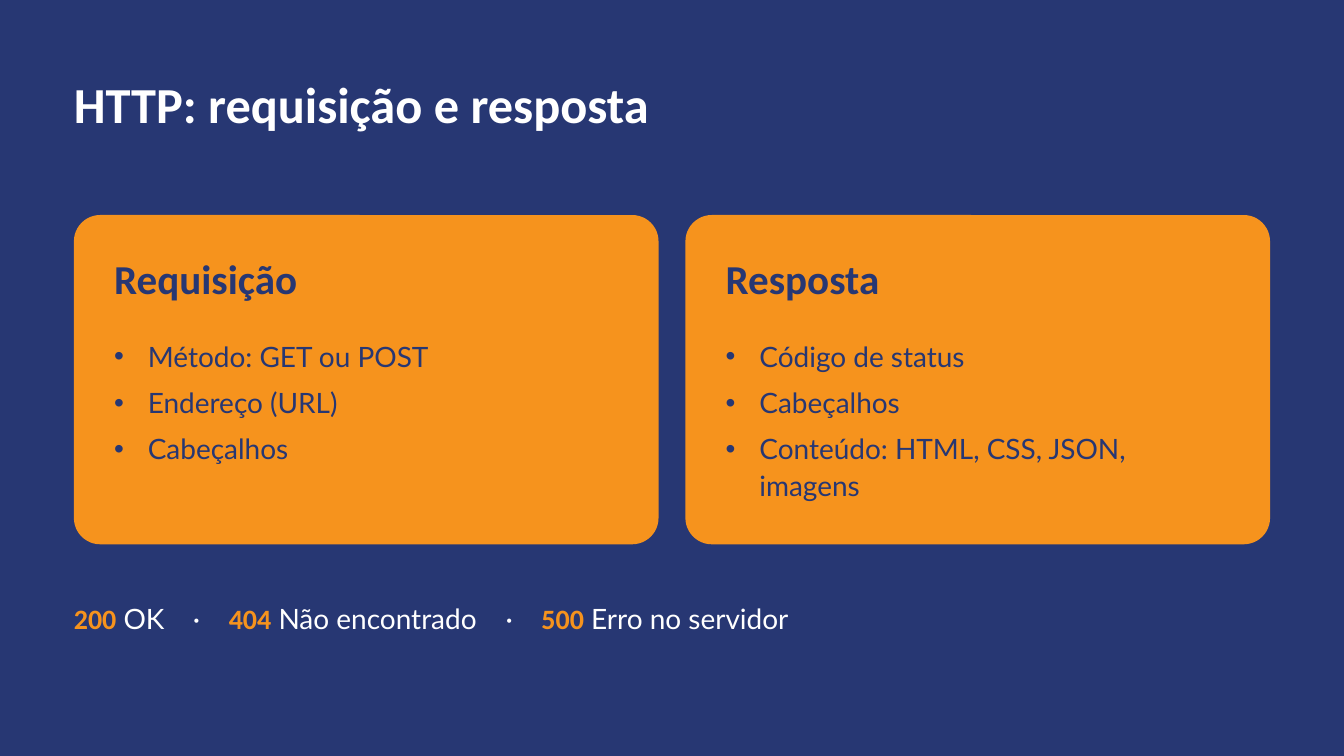
from lxml import etree
from pptx import Presentation
from pptx.dml.color import RGBColor
from pptx.enum import shapes
from pptx.oxml import ns
from pptx.util import Pt

NAVY = RGBColor(0x27, 0x37, 0x73)
ORANGE = RGBColor(0xF6, 0x93, 0x1D)
WHITE = RGBColor(0xFF, 0xFF, 0xFF)
HEAD, BODY = "Calibri", "Lato"
LEFT, WIDTH, GAP = 79.2, 1281.6, 28.8

CARDS = [
    ("Requisição", ["Método: GET ou POST", "Endereço (URL)", "Cabeçalhos"]),
    ("Resposta", ["Código de status", "Cabeçalhos",
                  "Conteúdo: HTML, CSS, JSON, imagens"]),
]
CODES = [("200", "OK"), ("404", "Não encontrado"), ("500", "Erro no servidor")]
STOPS = [(131.25, "ctr"), (166, "l"), (466.5, "ctr"), (501, "l")]


def add(root, tag, **attrs):
    """Append a drawing element to a parent and return it."""
    node = etree.SubElement(root, ns.qn(tag))
    for key, value in attrs.items():
        node.set(key, str(value))
    return node


def bullet(para):
    """Give a paragraph a hanging round bullet."""
    props = para._p.get_or_add_pPr()
    props.set("marL", str(Pt(36)))
    props.set("indent", str(-Pt(36)))
    add(add(props, "a:buClr"), "a:srgbClr", val=NAVY)
    add(props, "a:buFont", typeface="Arial")
    add(props, "a:buChar", char="•")


def tabs(para, stops):
    """Set the tab stops of a paragraph."""
    row = add(para._p.get_or_add_pPr(), "a:tabLst")
    for pos, align in stops:
        add(row, "a:tab", pos=Pt(pos), algn=align)


def write(slide, box, paras, size=30, font=BODY, color=NAVY, bold=False,
          dots=False, after=0, stops=()):
    """Add a text box; a paragraph is a string or a list of (text, accent) runs."""
    frame = slide.shapes.add_textbox(*map(Pt, box)).text_frame
    frame.word_wrap = True
    frame.margin_left = frame.margin_right = 0
    frame.margin_top = frame.margin_bottom = 0
    for num, item in enumerate(paras):
        para = frame.add_paragraph() if num else frame.paragraphs[0]
        if dots:
            bullet(para)
        if stops:
            tabs(para, stops)
        para.line_spacing = 1.1
        para.space_after = Pt(after)
        for words, accent in [(item, False)] if isinstance(item, str) else item:
            run = para.add_run()
            run.text = words
            run.font.size = Pt(size)
            run.font.name = HEAD if accent else font
            run.font.bold = accent or bold
            run.font.color.rgb = ORANGE if accent else color


def card(slide, box, title, items):
    """Draw a rounded card with a heading and a bulleted list."""
    left, top, width, height = box
    panel = slide.shapes.add_shape(
        shapes.MSO_SHAPE.ROUNDED_RECTANGLE, *map(Pt, box))
    panel.adjustments[0] = 0.08
    panel.shadow.inherit = False
    panel.fill.solid()
    panel.fill.fore_color.rgb = ORANGE
    panel.line.fill.background()
    inner = left + 43.2, width - 86.4
    write(slide, (inner[0], top + 36, inner[1], 64.8), [title],
          size=44, font=HEAD, bold=True)
    write(slide, (inner[0], top + 129.6, inner[1], height - 151.2), items,
          dots=True, after=10)


def codes(slide, box):
    """Write the status codes on one line, parted by dots."""
    runs = []
    for num, (code, label) in enumerate(CODES):
        tail = "\t·\t" if num < len(CODES) - 1 else ""
        runs += [(code, True), (f" {label}{tail}", False)]
    write(slide, box, [runs], color=WHITE, stops=STOPS)


def main():
    """Build and save the slide."""
    deck = Presentation()
    deck.slide_width, deck.slide_height = Pt(1440), Pt(810)
    slide = deck.slides.add_slide(deck.slide_layouts[6])
    slide.background.fill.solid()
    slide.background.fill.fore_color.rgb = NAVY
    write(slide, (LEFT, 72, 1044, 79.2), ["HTTP: requisição e resposta"],
          size=54, font=HEAD, color=WHITE, bold=True)
    wide = (WIDTH - GAP) / len(CARDS)
    for num, (title, items) in enumerate(CARDS):
        card(slide, (LEFT + num * (wide + GAP), 230.4, wide, 352.8), title, items)
    codes(slide, (LEFT, 640.8, WIDTH, 57.6))
    deck.save("out.pptx")


if __name__ == "__main__":
    main()
